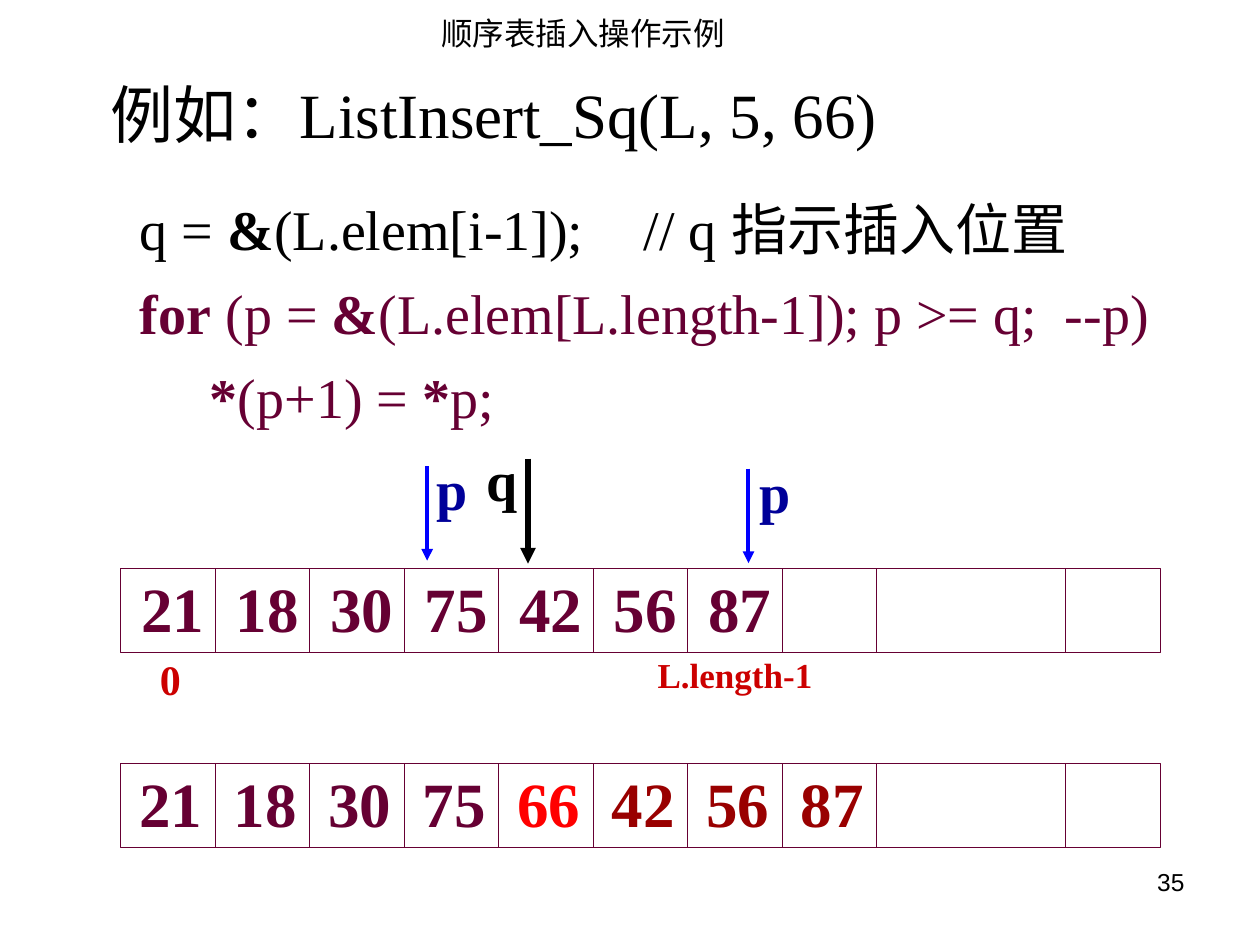
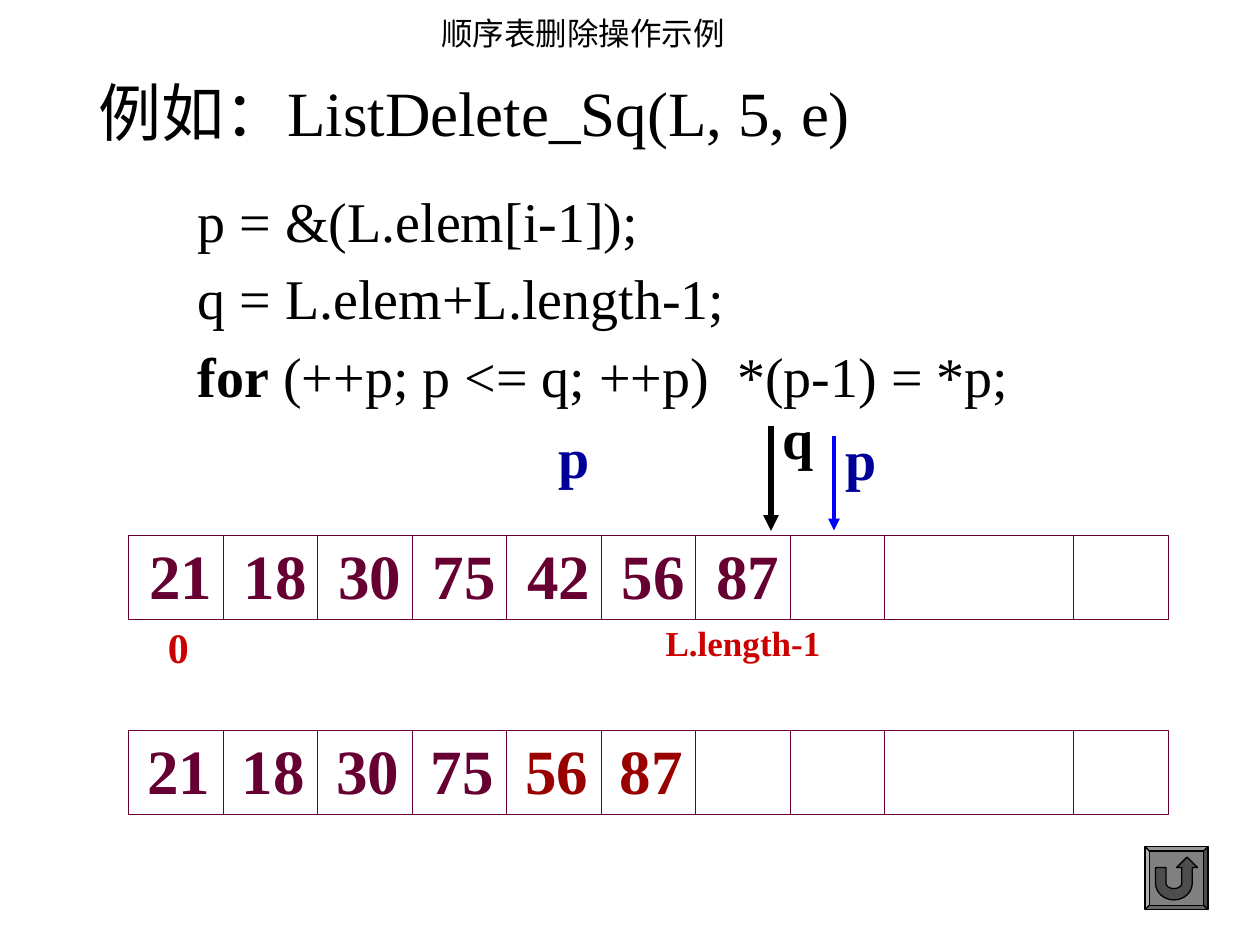
"""Build two slides that show insertion into and deletion from a sequential list."""
from dataclasses import dataclass
from math import cos, pi, sin

from lxml.etree import SubElement
from pptx import Presentation
from pptx.dml.color import RGBColor
from pptx.enum.shapes import MSO_CONNECTOR as Connector, MSO_SHAPE as Preset
from pptx.enum.text import MSO_ANCHOR as Anchor, MSO_AUTO_SIZE as AutoSize, PP_ALIGN as Align
from pptx.oxml.ns import qn
from pptx.util import Pt


@dataclass(frozen=True)
class Theme:
    """Colours, fonts and type sizes of the slides."""
    serif: str = "Times New Roman"
    sans: str = "Arial"
    black: str = "000000"
    plum: str = "660033"
    moved: str = "990000"
    inserted: str = "FF0000"
    index: str = "CC0000"
    pointer: str = "000099"
    arrow: str = "0000FF"
    button: str = "808080"
    button_icon: str = "4D4D4D"
    number_size: int = 14
    title_size: int = 18
    length_size: int = 20
    zero_size: int = 24
    code_size: int = 32
    heading_size: int = 36


theme = Theme()
CELL_WIDTH, CELL_HEIGHT, ROW_STEP = 54, 48, 111.6
DIVIDERS = [CELL_WIDTH * column for column in (1, 2, 3, 4, 5, 6, 7, 8, 10)]
ARRAY_WIDTH = 11 * CELL_WIDTH


def write(paragraph, text, size=theme.code_size, color=theme.black, bold=False, font=theme.serif):
    run = paragraph.add_run()
    run.text = text
    run.font.name, run.font.size, run.font.bold = font, Pt(size), bold
    run.font.color.rgb = RGBColor.from_string(color)


def add_label(slide, text, left, top, width, height, wrap=False, align=Align.LEFT, tabs=(), **text_format):
    frame = slide.shapes.add_textbox(Pt(left), Pt(top), Pt(width), Pt(height)).text_frame
    frame.word_wrap = wrap
    frame.auto_size = AutoSize.NONE if wrap else AutoSize.SHAPE_TO_FIT_TEXT
    paragraph = frame.paragraphs[0]
    paragraph.alignment = align
    if tabs:
        tab_list = SubElement(paragraph._p.get_or_add_pPr(), qn("a:tabLst"))
        for position in tabs:
            SubElement(tab_list, qn("a:tab"), pos=str(Pt(position)), algn="l")
    write(paragraph, text, **text_format)


slides = [
    dict(
        title="顺序表插入操作示例",
        heading=("例如：ListInsert_Sq(L, 5, 66)", 56.2, 39.6, 470),
        code_box=(72.7, 97.9, 607.7, 151.2), line_spacing=1.25,
        code=[
            (theme.black, [("q = ", False), ("&", True), ("(L.elem[i-1]);\t// q 指示插入位置", False)]),
            (theme.plum, [("for", True), (" (p = ", False), ("&", True),
                          ("(L.elem[L.length-1]); p >= q;  --p)", False)]),
            (theme.plum, [("     *", True), ("(p+1) = ", False), ("*", True), ("p;", False)]),
        ],
        array=(69, 324.7),
        moved=[("66", theme.inserted), ("42", theme.moved), ("56", theme.moved), ("87", theme.moved)],
        pointers=[("p", 427, 257.8), ("p", 242.6, 256.3), ("q", 270.7, 251.3)],
        arrows=[("p", 427.7, 267.8), ("p", 244.1, 266.4), ("q", 301.7, 262.1)],
        number="35",
    ),
    dict(
        title="顺序表删除操作示例",
        heading=("例如：ListDelete_Sq(L, 5, e)", 49, 38.2, 461.5),
        code_box=(105.8, 97.2, 494, 139.7), line_spacing=1.15,
        code=[
            (theme.black, [("p = &(L.elem[i-1]);", False)]),
            (theme.black, [("q = L.elem+L.length-1;", False)]),
            (theme.black, [("for", True), (" (++p; p <= q; ++p)  *(p-1) = *p;", False)]),
        ],
        array=(73.6, 306),
        moved=[("56", theme.moved), ("87", theme.moved)],
        pointers=[("p", 311.8, 237.6), ("q", 439.9, 226.8), ("p", 475.9, 239)],
        arrows=[("q", 440.6, 243.4), ("p", 476.6, 249.1)],
        number=None,
    ),
]
pointer_colors = {"p": theme.pointer, "q": theme.black}
arrow_styles = {"p": (theme.arrow, 2.25, 54), "q": (theme.black, 3, 60)}

presentation = Presentation()
presentation.slide_width, presentation.slide_height = Pt(720), Pt(540)

for content in slides:
    slide = presentation.slides.add_slide(presentation.slide_layouts[1])
    title, body = slide.shapes.title, slide.placeholders[1]
    for placeholder, box in ((title, (244.8, 4.3, 188.6, 28.8)), (body, content["code_box"])):
        placeholder.left, placeholder.top, placeholder.width, placeholder.height = map(Pt, box)
        placeholder.text_frame.word_wrap = True
        placeholder.text_frame.auto_size = AutoSize.NONE
        placeholder.text_frame.vertical_anchor = Anchor.TOP
    title_paragraph = title.text_frame.paragraphs[0]
    title_paragraph.alignment = Align.LEFT
    write(title_paragraph, content["title"], size=theme.title_size, font=theme.sans)

    for number, (color, runs) in enumerate(content["code"]):
        paragraph = body.text_frame.paragraphs[0] if number == 0 else body.text_frame.add_paragraph()
        properties = paragraph._p.get_or_add_pPr()
        properties.set("marL", "0")
        properties.set("indent", "0")
        SubElement(properties, qn("a:buNone"))
        tab_list = SubElement(properties, qn("a:tabLst"))
        SubElement(tab_list, qn("a:tab"), pos=str(Pt(301)), algn="l")
        paragraph.line_spacing = content["line_spacing"]
        paragraph.space_before = Pt(0)
        for text, bold in runs:
            write(paragraph, text, color=color, bold=bold)

    heading, left, top, width = content["heading"]
    add_label(slide, heading, left, top, width, 50.4, size=theme.heading_size)

    array_left, array_top = content["array"]
    rows = [(array_top, 4.5, ["21", "18", "30", "75", "42", "56", "87"]),
            (array_top + ROW_STEP, 3.6, ["21", "18", "30", "75"])]
    for row_top, inset, values in rows:
        frame = slide.shapes.add_shape(
            Preset.RECTANGLE, Pt(array_left), Pt(row_top), Pt(ARRAY_WIDTH), Pt(CELL_HEIGHT))
        frame.shadow.inherit = False
        frame.fill.background()
        frame.line.color.rgb = RGBColor.from_string(theme.plum)
        frame.line.width = Pt(0.75)
        for offset in DIVIDERS:
            divider = slide.shapes.add_connector(
                Connector.STRAIGHT, Pt(array_left + offset), Pt(row_top),
                Pt(array_left + offset), Pt(row_top + CELL_HEIGHT))
            SubElement(divider._element.spPr, qn("a:effectLst"))
            divider.line.color.rgb = RGBColor.from_string(theme.plum)
            divider.line.width = Pt(0.75)
        add_label(slide, "\t".join(values), array_left + inset, row_top - 2.9,
                  len(values) * CELL_WIDTH, 50.4, wrap=True, tabs=DIVIDERS[:len(values) - 1],
                  size=theme.heading_size, color=theme.plum, bold=True)

    for column, (value, color) in enumerate(content["moved"], start=4):
        add_label(slide, value, array_left + column * CELL_WIDTH + 3.6, array_top + ROW_STEP - 2.9,
                  50.4, 50.4, size=theme.heading_size, color=color, bold=True)

    add_label(slide, "0", array_left + 15.3, array_top + 45.4, 26, 36,
              size=theme.zero_size, color=theme.index, bold=True)
    add_label(slide, "L.length-1", array_left + 299.7, array_top + 45.4, 103, 31.7,
              size=theme.length_size, color=theme.index, bold=True)

    for name, left, top in content["pointers"]:
        add_label(slide, name, left, top, 32.3, 46, color=pointer_colors[name], bold=True)
    for name, left, top in content["arrows"]:
        color, weight, length = arrow_styles[name]
        arrow = slide.shapes.add_connector(
            Connector.STRAIGHT, Pt(left), Pt(top), Pt(left), Pt(top + length))
        arrow.line.color.rgb = RGBColor.from_string(color)
        arrow.line.width = Pt(weight)
        SubElement(arrow.line._get_or_add_ln(), qn("a:tailEnd"), type="triangle")
        SubElement(arrow._element.spPr, qn("a:effectLst"))

    if content["number"]:
        add_label(slide, content["number"], 516.2, 491.8, 167.8, 37.4, wrap=True,
                  align=Align.RIGHT, size=theme.number_size, font=theme.sans)

button_left, button_top = 654.3, 483.8
button = slide.shapes.add_shape(Preset.BEVEL, Pt(button_left), Pt(button_top), Pt(36), Pt(36))
button.adjustments[0] = 0.07
angles = [pi * step / 12 for step in range(13)]
inner_curve = [(16.5 - 4.5 * cos(angle), 21 + 3 * sin(angle)) for angle in angles]
outer_curve = [(16.5 + 10.5 * cos(angle), 21 + 9.5 * sin(angle)) for angle in angles]
outline = [(6, 12), (12, 12), *inner_curve, (21, 12), (18, 12), (24, 6), (30, 12), (27, 12), *outer_curve]
points = [(Pt(button_left + x), Pt(button_top + y)) for x, y in outline]
builder = slide.shapes.build_freeform(*points[0])
builder.add_line_segments(points[1:], close=True)
return_arrow = builder.convert_to_shape()
for shape, color in ((button, theme.button), (return_arrow, theme.button_icon)):
    shape.shadow.inherit = False
    shape.fill.solid()
    shape.fill.fore_color.rgb = RGBColor.from_string(color)
    shape.line.color.rgb = RGBColor.from_string(theme.black)
    shape.line.width = Pt(0.75)

presentation.save("out.pptx")
